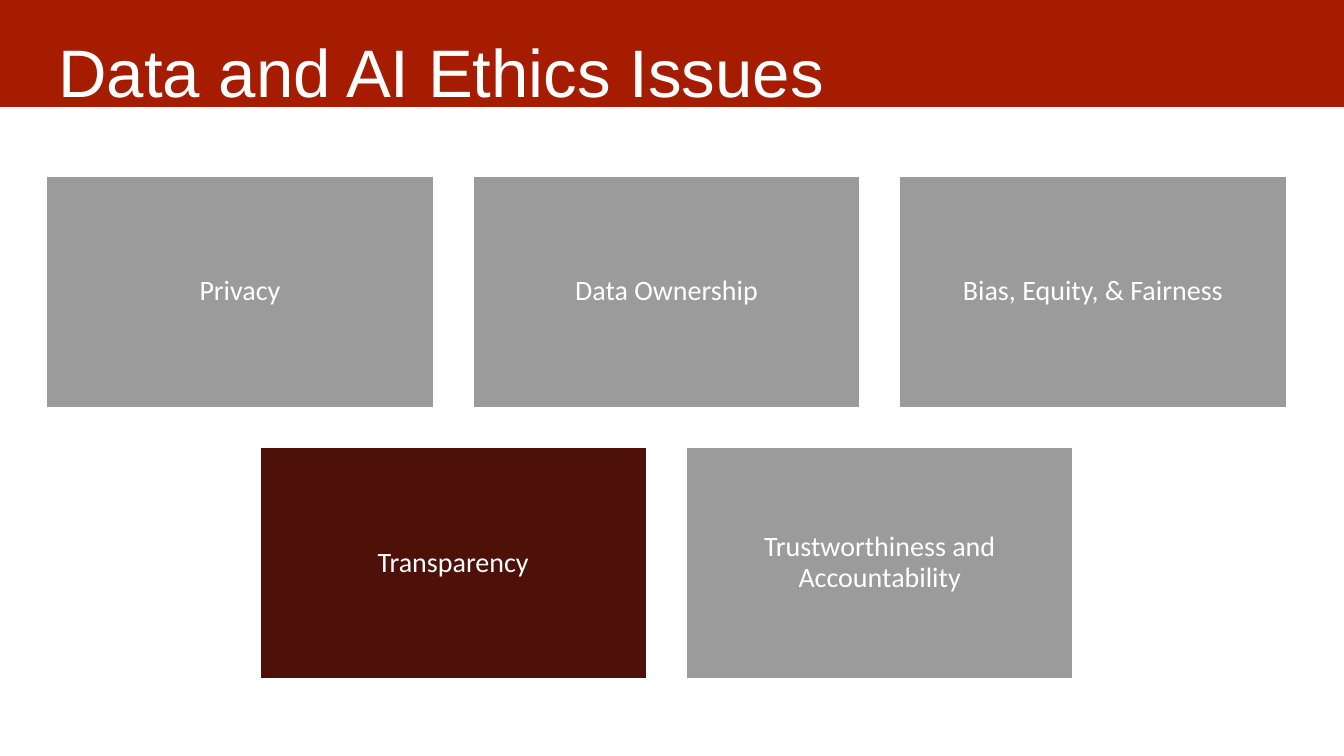
from pptx import Presentation
from pptx.dml.color import RGBColor
from pptx.enum.shapes import MSO_SHAPE
from pptx.enum.text import MSO_ANCHOR, MSO_AUTO_SIZE, PP_ALIGN
from pptx.util import Inches, Pt

RECTANGLE = MSO_SHAPE.RECTANGLE
TOP, MIDDLE = MSO_ANCHOR.TOP, MSO_ANCHOR.MIDDLE
LEFT, CENTER = PP_ALIGN.LEFT, PP_ALIGN.CENTER
NO_AUTOFIT = MSO_AUTO_SIZE.NONE

WHITE, RED, GRAY, MAROON = "FFFFFF", "A61C00", "9B9B9B", "4D110A"
SLIDE_WIDTH, SLIDE_HEIGHT = 13.33, 7.5
TILE_WIDTH, TILE_HEIGHT, TILE_GAP = 3.85, 2.31, 0.38
GRID_CENTER, GRID_TOP = 6.61, 1.74
ISSUE_ROWS = [
    ["Privacy", "Data Ownership", "Bias, Equity, & Fairness"],
    ["Transparency", "Trustworthiness and Accountability"],
]
HIGHLIGHT = "Transparency"


def color(value):
    """Turn a hex string into a colour."""
    return RGBColor.from_string(value)


class SlideBuilder:
    """Hold the style and the current slide."""

    def __init__(self, deck):
        """Add a slide with a title placeholder."""
        self.slide = deck.slides.add_slide(deck.slide_layouts[5])
        self.title_font, self.title_size = "Arial", 48
        self.tile_font, self.tile_size = "Calibri", 20

    def rectangle(self, left, top, width, height, fill):
        """Add a plain filled rectangle without an outline."""
        box = self.slide.shapes.add_shape(
            RECTANGLE, Inches(left), Inches(top), Inches(width), Inches(height))
        box.shadow.inherit = False
        box.fill.solid()
        box.fill.fore_color.rgb = color(fill)
        box.line.fill.background()
        return box

    def set_text(self, box, text, font, size, anchor, align, spacing, insets):
        """Put one formatted white paragraph into a shape."""
        frame = box.text_frame
        frame.text = text
        frame.word_wrap = True
        frame.auto_size = NO_AUTOFIT
        frame.vertical_anchor = anchor
        frame.margin_left, frame.margin_top, frame.margin_right, frame.margin_bottom = (
            Inches(inset) for inset in insets)
        para = frame.paragraphs[0]
        para.alignment = align
        para.line_spacing = spacing
        span = para.runs[0]
        span.font.name = font
        span.font.size = Pt(size)
        span.font.color.rgb = color(WHITE)

    def title(self, text):
        """Place the title in front of its red band."""
        self.rectangle(-0.02, -0.04, 13.36, 1.1, RED)
        box = self.slide.shapes.title
        box.left, box.top = Inches(0.45), Inches(0.09)
        box.width, box.height = Inches(12.42), Inches(0.83)
        self.set_text(box, text, self.title_font, self.title_size, TOP, LEFT, 1.0,
                      (0.13, 0.21, 0.13, 0.13))
        box.element.getparent().append(box.element)

    def tile(self, left, top, text, fill):
        """Add an issue tile with a white outline."""
        box = self.rectangle(left, top, TILE_WIDTH, TILE_HEIGHT, fill)
        box.line.color.rgb = color(WHITE)
        box.line.width = Pt(2)
        self.set_text(box, text, self.tile_font, self.tile_size, MIDDLE, CENTER, 0.9,
                      (0.08, 0.08, 0.08, 0.08))

    def tile_grid(self, rows):
        """Lay out rows of tiles, each row centred."""
        pitch = TILE_WIDTH + TILE_GAP
        for row_index, issues in enumerate(rows):
            left = GRID_CENTER - (len(issues) * pitch - TILE_GAP) / 2
            top = GRID_TOP + row_index * (TILE_HEIGHT + TILE_GAP)
            for column, issue in enumerate(issues):
                fill = MAROON if issue == HIGHLIGHT else GRAY
                self.tile(left + column * pitch, top, issue, fill)


def main():
    """Build and save the slide."""
    deck = Presentation()
    deck.slide_width, deck.slide_height = Inches(SLIDE_WIDTH), Inches(SLIDE_HEIGHT)
    page = SlideBuilder(deck)
    page.title("Data and AI Ethics Issues")
    page.tile_grid(ISSUE_ROWS)
    deck.save("out.pptx")


if __name__ == "__main__":
    main()
